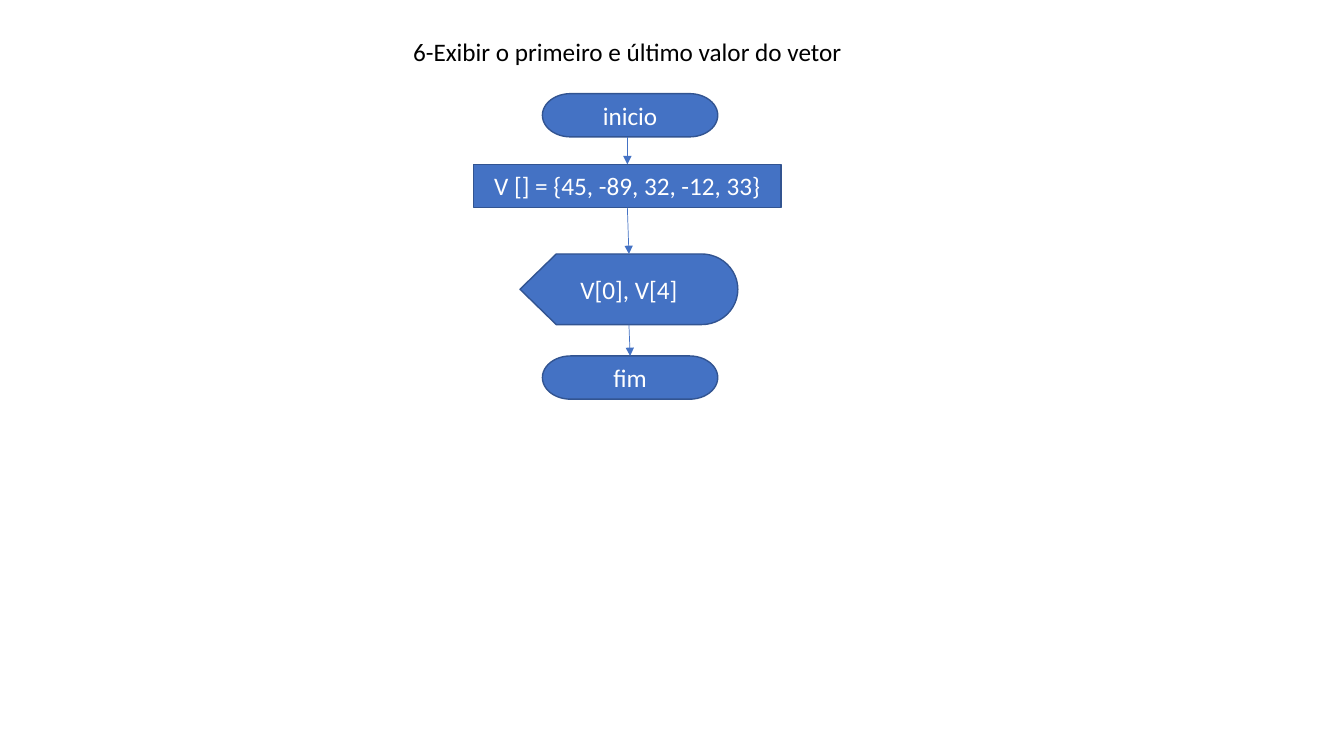
from itertools import pairwise
from lxml.etree import SubElement
from pptx import Presentation
from pptx.dml.color import RGBColor as Color
from pptx.enum.shapes import MSO_CONNECTOR as Connector, MSO_SHAPE as Shape
from pptx.enum.text import MSO_ANCHOR as Anchor, PP_ALIGN as Align
from pptx.oxml.ns import qn
from pptx.util import Cm, Pt

COLORS = {"fill": "4472C4", "outline": "325491", "light": "FFFFFF", "dark": "000000"}
FONT = "Calibri"

STEPS = [
    (Shape.FLOWCHART_TERMINATOR, "inicio", 3.94, 0, 4.42, 1.09),
    (Shape.FLOWCHART_PROCESS, "V [] = {45, -89, 32, -12, 33}", 3.87, 1.78, 7.75, 1.09),
    (Shape.FLOWCHART_DISPLAY, "V[0], V[4]", 3.91, 4.04, 5.49, 1.78),
    (Shape.FLOWCHART_TERMINATOR, "fim", 3.94, 6.61, 4.42, 1.09),
]


def color(name):
    return Color.from_string(COLORS[name])


def write(shape, text, color_name, align):
    shape.text_frame.word_wrap = True
    paragraph = shape.text_frame.paragraphs[0]
    paragraph.alignment = align
    run = paragraph.add_run()
    run.text = text
    run.font.name = FONT
    run.font.size = Pt(18)
    run.font.color.rgb = color(color_name)


def add_title(slide, left, top, width, height):
    box = slide.shapes.add_textbox(Cm(left), Cm(top), Cm(width), Cm(height))
    write(box, "6-Exibir o primeiro e último valor do vetor", "dark", Align.LEFT)


def add_step(slide, kind, text, center, top, width, height):
    shape = slide.shapes.add_shape(
        kind, Cm(center - width / 2), Cm(top), Cm(width), Cm(height))
    shape.shadow.inherit = False
    shape.fill.solid()
    shape.fill.fore_color.rgb = color("fill")
    shape.line.color.rgb = color("outline")
    shape.line.width = Pt(1)
    shape.text_frame.vertical_anchor = Anchor.MIDDLE
    write(shape, text, "light", Align.CENTER)


def add_arrow(slide, start_x, start_y, end_x, end_y):
    arrow = slide.shapes.add_connector(
        Connector.STRAIGHT, Cm(start_x), Cm(start_y), Cm(end_x), Cm(end_y))
    arrow.line.color.rgb = color("fill")
    arrow.line.width = Pt(0.5)
    SubElement(arrow.line._get_or_add_ln(), qn("a:tailEnd"), type="triangle")
    SubElement(arrow._element.spPr, qn("a:effectLst"))


def add_flowchart(slide, left, top):
    for kind, text, center, offset, width, height in STEPS:
        add_step(slide, kind, text, left + center, top + offset, width, height)
    for above, below in pairwise(STEPS):
        _, _, center, offset, _, height = above
        _, _, next_center, next_offset, _, _ = below
        add_arrow(slide, left + min(center, next_center), top + offset + height,
                  left + next_center, top + next_offset)


presentation = Presentation()
presentation.slide_width = Cm(33.87)
presentation.slide_height = Cm(19.05)
slide = presentation.slides.add_slide(presentation.slide_layouts[6])
add_title(slide, 10.16, 0.79, 11.43, 1.02)
add_flowchart(slide, 11.94, 2.36)
presentation.save("out.pptx")
